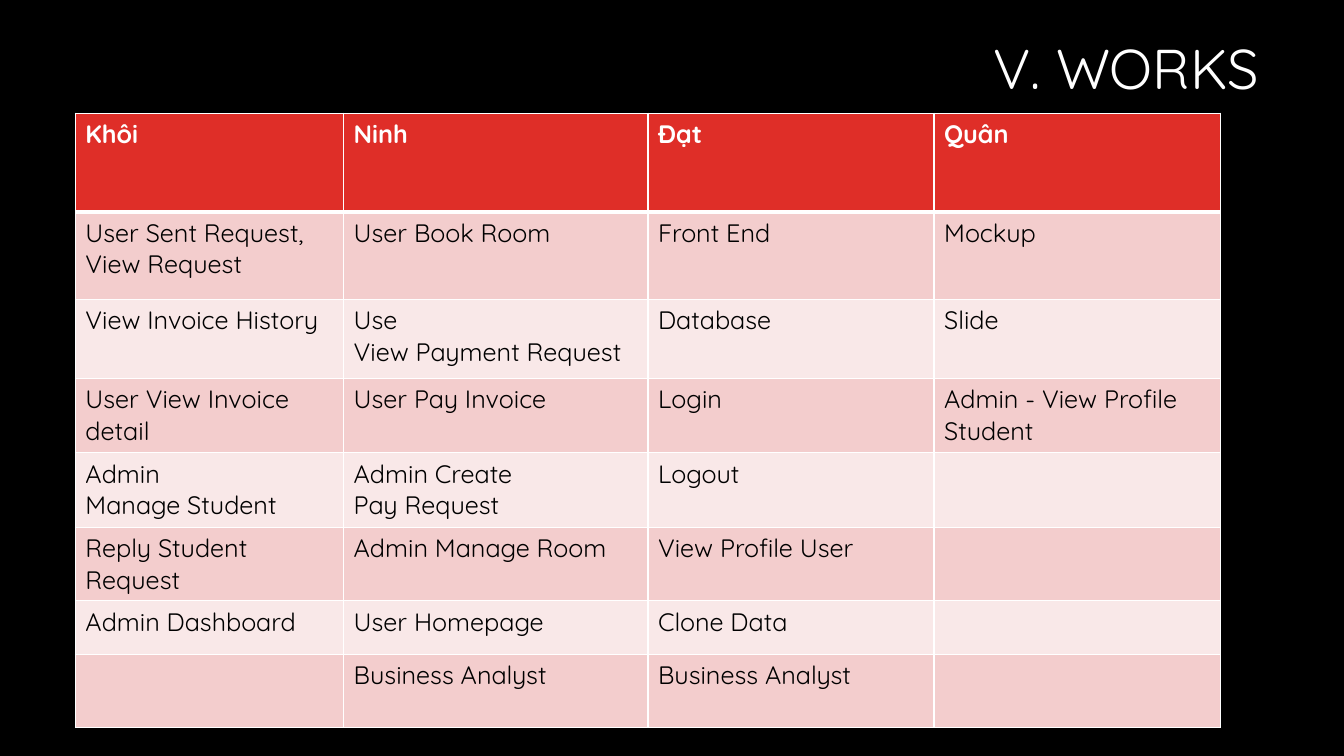
import pptx
import pptx.dml.color
import pptx.enum.text
import pptx.oxml
import pptx.oxml.ns
import pptx.util
from pptx.util import Cm

COLORS = {
    "background": "000000",
    "light": "FFFFFF",
    "dark": "000000",
    "header": "DF2E28",
    "odd_row": "F3CDCD",
    "even_row": "F9E8E8",
}
FONT = "Quicksand"
NBSP = "\u00a0"


def rgb(name):
    return pptx.dml.color.RGBColor.from_string(COLORS[name])


def write(frame, text, size=18, color="dark", bold=False, align="LEFT", spacing=None):
    paragraph = frame.paragraphs[0]
    paragraph.alignment = getattr(pptx.enum.text.PP_ALIGN, align)
    if spacing:
        paragraph.line_spacing = spacing
    run = paragraph.add_run()
    run.text = text
    run.font.name = FONT
    run.font.size = pptx.util.Pt(size)
    run.font.bold = bold
    run.font.color.rgb = rgb(color)


class WorkSlide:
    def __init__(self, deck):
        self.slide = deck.slides.add_slide(deck.slide_layouts[5])
        fill = self.slide.background.fill
        fill.solid()
        fill.fore_color.rgb = rgb("background")

    def title(self, text, left, top, width, height):
        heading = self.slide.shapes.title
        heading.left, heading.top = Cm(left), Cm(top)
        heading.width, heading.height = Cm(width), Cm(height)
        frame = heading.text_frame
        frame.vertical_anchor = pptx.enum.text.MSO_ANCHOR.MIDDLE
        write(frame, text, size=40, color="light", align="RIGHT", spacing=0.9)

    def border(self, cell, side, width):
        line = pptx.oxml.parse_xml(
            f'<a:ln{side} {pptx.oxml.ns.nsdecls("a")} w="{pptx.util.Pt(width)}">'
            f'<a:solidFill><a:srgbClr val="{COLORS["light"]}"/></a:solidFill>'
            f"</a:ln{side}>"
        )
        cell._tc.get_or_add_tcPr().append(line)

    def table(self, records, left, top, widths, heights):
        grid = self.slide.shapes.add_table(
            len(heights), len(widths), Cm(left), Cm(top),
            Cm(sum(widths)), Cm(sum(heights))).table
        for column, width in zip(grid.columns, widths):
            column.width = Cm(width)
        for row, height in zip(grid.rows, heights):
            row.height = Cm(height)
        for r, record in enumerate(records):
            band = "header" if r == 0 else "odd_row" if r % 2 else "even_row"
            for c, text in enumerate(record):
                self.cell(grid.cell(r, c), text, r, band)

    def cell(self, cell, text, row, band):
        # The rule under the header is thicker than the others
        for side in "LRTB":
            self.border(cell, side, 3 if (row, side) in ((0, "B"), (1, "T")) else 1)
        cell.fill.solid()
        cell.fill.fore_color.rgb = rgb(band)
        if text:
            is_header = row == 0
            write(cell.text_frame, text, bold=is_header,
                  color="light" if is_header else "dark")


# Tasks per team member; "~" keeps two words on one line
tasks = {
    "Khôi": ["User Sent Request, View Request", "View Invoice~History",
             "User~View Invoice detail", "Admin Manage~Student",
             "Reply Student Request", "Admin Dashboard", ""],
    "Ninh": ["User Book Room", "Use View~Payment~Request", "User Pay Invoice",
             "Admin Create Pay~Request", "Admin Manage~Room", "User Homepage",
             "Business Analyst"],
    "Đạt": ["Front End", "Database", "Login", "Logout", "View Profile User",
            "Clone Data", "Business Analyst"],
    "Quân": ["Mockup", "Slide", "Admin -~View Profile Student", "", "", "", ""],
}
members = [[name, *(task.replace("~", NBSP) for task in work)]
           for name, work in tasks.items()]

# Slide
deck = pptx.Presentation()
deck.slide_width, deck.slide_height = Cm(33.87), Cm(19.05)
works = WorkSlide(deck)

# Title
works.title("V. WORKS", 8.05, 0, 23.93, 3.58)

# Work split
works.table(zip(*members), 1.9, 2.85,
            widths=[6.76, 7.67, 7.21, 7.21],
            heights=[2.49, 2.21, 1.98, 1.88, 1.88, 1.85, 1.35, 1.85])

deck.save("out.pptx")
